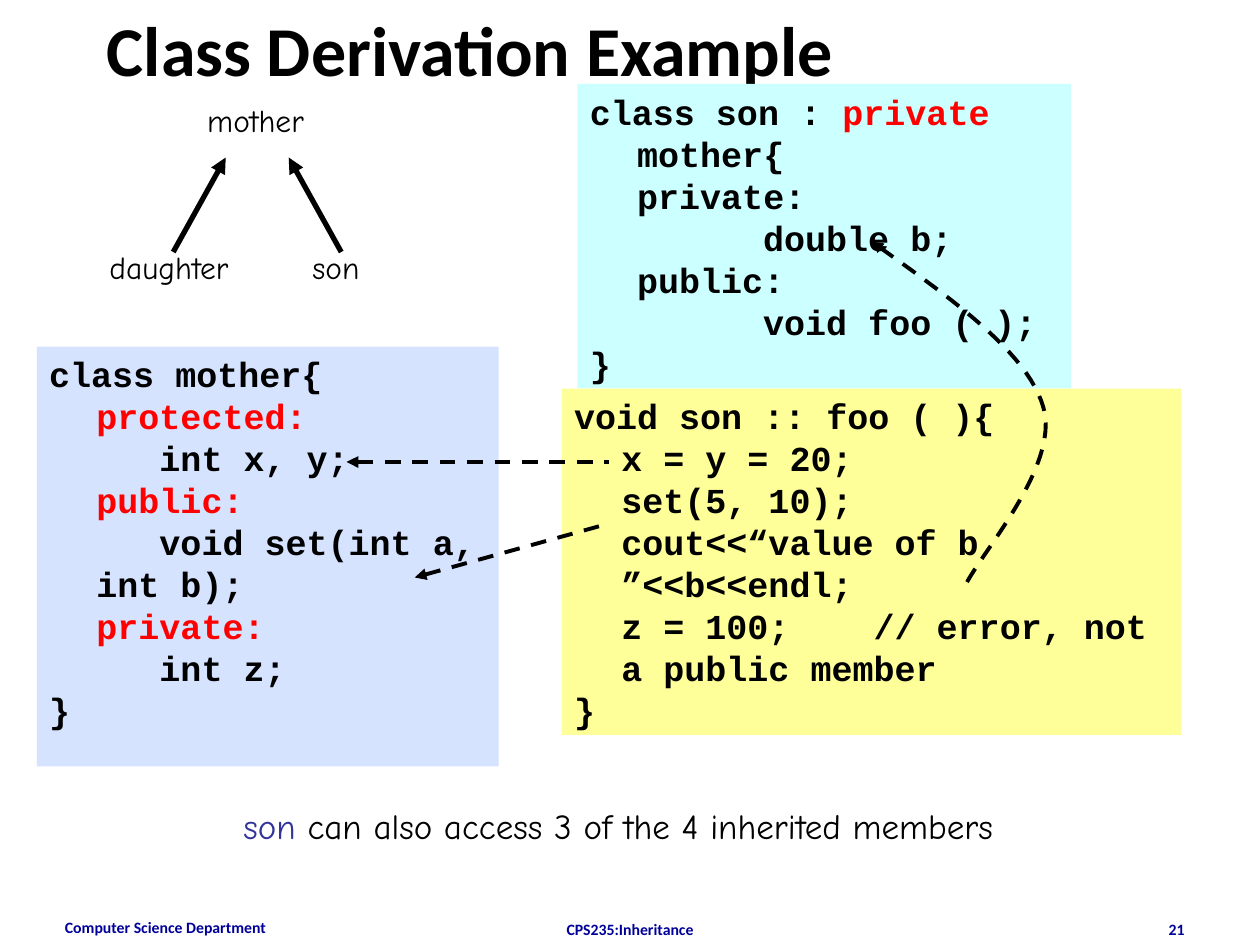
from lxml import etree
from pptx import Presentation
from pptx.dml.color import RGBColor
from pptx.enum import dml, shapes, text
from pptx.oxml import ns
from pptx.util import Pt

COLOURS = {
    "black": "000000", "red": "FF0000", "navy": "000099", "indigo": "333399",
    "blue": "D5E3FF", "cyan": "CCFFFF", "yellow": "FFFF99",
}
HEADING, HAND, CODE = "Calibri", "Comic Neue", "Courier New"
LEFT, CENTRE, RIGHT = text.PP_ALIGN.LEFT, text.PP_ALIGN.CENTER, text.PP_ALIGN.RIGHT
HANGING, TAB = 27, 72


def colour(name):
    return RGBColor.from_string(COLOURS[name])


def write(shape, lines, size=20, font=HAND, ink="black", bold=False,
          align=LEFT, wrap=True, hanging=0):
    """Fill a shape; each line is a string or a list of (text, colour) spans."""
    frame = shape.text_frame
    frame.word_wrap = wrap
    frame.vertical_anchor = text.MSO_ANCHOR.TOP
    frame.auto_size = text.MSO_AUTO_SIZE.NONE if wrap else text.MSO_AUTO_SIZE.SHAPE_TO_FIT_TEXT
    for index, line in enumerate(lines):
        para = frame.paragraphs[0] if index == 0 else frame.add_paragraph()
        para.alignment = align
        if hanging:
            properties = para._p.get_or_add_pPr()
            properties.set("marL", str(Pt(hanging)))
            properties.set("indent", str(-Pt(hanging)))
            properties.set("defTabSz", str(Pt(TAB)))
            stops = etree.SubElement(properties, ns.qn("a:tabLst"))
            for stop in range(8):
                etree.SubElement(stops, ns.qn("a:tab"), pos=str(Pt(TAB * stop)), algn="l")
        for words, span_ink in [(line, ink)] if isinstance(line, str) else line:
            span = para.add_run()
            span.text = words
            span.font.name, span.font.size, span.font.bold = font, Pt(size), bold
            span.font.color.rgb = colour(span_ink)


def add_label(page, box, line, **style):
    write(page.shapes.add_textbox(*map(Pt, box)), [line], **style)


def style_arrow(line, width, dashed):
    line.color.rgb = colour("black")
    line.width = Pt(width)
    if dashed:
        line.dash_style = dml.MSO_LINE.DASH
    etree.SubElement(line._get_or_add_ln(), ns.qn("a:headEnd"), type="triangle")


def add_arrow(page, tip, tail, width=2.25, dashed=True):
    arrow = page.shapes.add_connector(shapes.MSO_CONNECTOR.STRAIGHT, *map(Pt, tip + tail))
    style_arrow(arrow.line, width, dashed)
    etree.SubElement(arrow._element.spPr, ns.qn("a:effectLst"))


def bezier(points, steps=24):
    """Points along a cubic curve, without its start."""
    for step in range(1, steps + 1):
        t = step / steps
        weights = ((1 - t) ** 3, 3 * t * (1 - t) ** 2, 3 * t * t * (1 - t), t ** 3)
        yield tuple(Pt(sum(w * p[axis] for w, p in zip(weights, points))) for axis in (0, 1))


def add_curved_arrow(page, box):
    left, top, width, height = box
    shares = [(0, 0), (0.41, 0.16), (0.83, 0.32), (0.91, 0.48),
              (1, 0.65), (0.56, 0.91), (0.49, 1)]
    points = [(left + width * x, top + height * y) for x, y in shares]
    builder = page.shapes.build_freeform(Pt(points[0][0]), Pt(points[0][1]))
    for start in (0, 3):
        builder.add_line_segments(bezier(points[start:start + 4]), close=False)
    curve = builder.convert_to_shape()
    curve.fill.background()
    curve.shadow.inherit = False
    style_arrow(curve.line, 2.25, True)


def add_code_panel(page, box, fill, lines):
    """Code lines are (tab depth, text or spans)."""
    panel = page.shapes.add_shape(shapes.MSO_SHAPE.RECTANGLE, *map(Pt, box))
    panel.fill.solid()
    panel.fill.fore_color.rgb = colour(fill)
    panel.line.fill.background()
    panel.shadow.inherit = False
    tabbed = []
    for depth, line in lines:
        spans = [(line, "black")] if isinstance(line, str) else line
        (first, ink), *rest = spans
        tabbed.append([("\t" * depth + first, ink), *rest])
    write(panel, tabbed, font=CODE, bold=True, hanging=HANGING)


def add_family_tree(page, box):
    left, top, _, height = box
    label_top = top + height - 29
    add_label(page, (left + 55.5, top, 70, 29), "mother", size=18, align=CENTRE, wrap=False)
    add_label(page, (left, label_top, 83, 29), "daughter", size=18, wrap=False)
    add_label(page, (left + 116, label_top, 44, 29), "son", size=18, wrap=False)
    for tip, tail in ((73.5, 43.5), (109.5, 139.5)):
        add_arrow(page, (left + tip, top + 36), (left + tail, top + 90), width=3, dashed=False)


def add_footer(page, box):
    left, top, width, _ = box
    style = dict(size=9, font=HEADING, ink="navy", bold=True)
    add_label(page, (left, top, 168, 19), "Computer Science Department", **style)
    add_label(page, (left + 216, top + 1, 228, 7), "CPS235:Inheritance", align=CENTRE, **style)
    add_label(page, (left + width - 168, top + 1, 168, 7), "21", align=RIGHT, **style)


def main():
    deck = Presentation()
    deck.slide_width, deck.slide_height = Pt(720), Pt(540)
    page = deck.slides.add_slide(deck.slide_layouts[6])

    # Footer, title and class hierarchy
    add_footer(page, (30, 521, 654, 19))
    add_label(page, (54, 0, 612, 54), "Class Derivation Example",
              size=40, font=HEADING, bold=True)
    add_family_tree(page, (55.5, 54, 160, 113))

    # Code panels
    add_code_panel(page, (21, 198, 264, 240), "blue", [
        (0, "class mother{"),
        (1, [("protected:", "red")]),
        (1, "   int x, y;"),
        (1, [("public:", "red")]),
        (1, "   void set(int a, int b);"),
        (1, [("private:", "red")]),
        (1, "   int z;"),
        (0, "}"),
    ])
    add_code_panel(page, (330, 48, 282, 174), "cyan", [
        (0, [("class son : ", "black"), ("private", "red"), (" mother{", "black")]),
        (1, "private:"),
        (2, "double b;"),
        (1, "public:"),
        (2, "void foo ( );"),
        (0, "}"),
    ])
    add_code_panel(page, (321, 222, 354, 198), "yellow", [
        (0, "void son :: foo ( ){"),
        (1, "x = y = 20;"),
        (1, "set(5, 10);"),
        (1, "cout<<“value of b ”<<b<<endl;"),
        (1, "z = 100;    // error, not a public member"),
        (0, "}"),
    ])

    # Conclusion
    add_label(page, (132, 456, 443.5, 31.5),
              [("son", "indigo"), (" can also access 3 of the 4 inherited members", "black")],
              wrap=False)

    # Member access arrows
    add_curved_arrow(page, (498, 138, 108, 198))
    add_arrow(page, (237, 330), (345, 300))
    add_arrow(page, (198, 264), (348, 264))

    deck.save("out.pptx")


if __name__ == "__main__":
    main()
